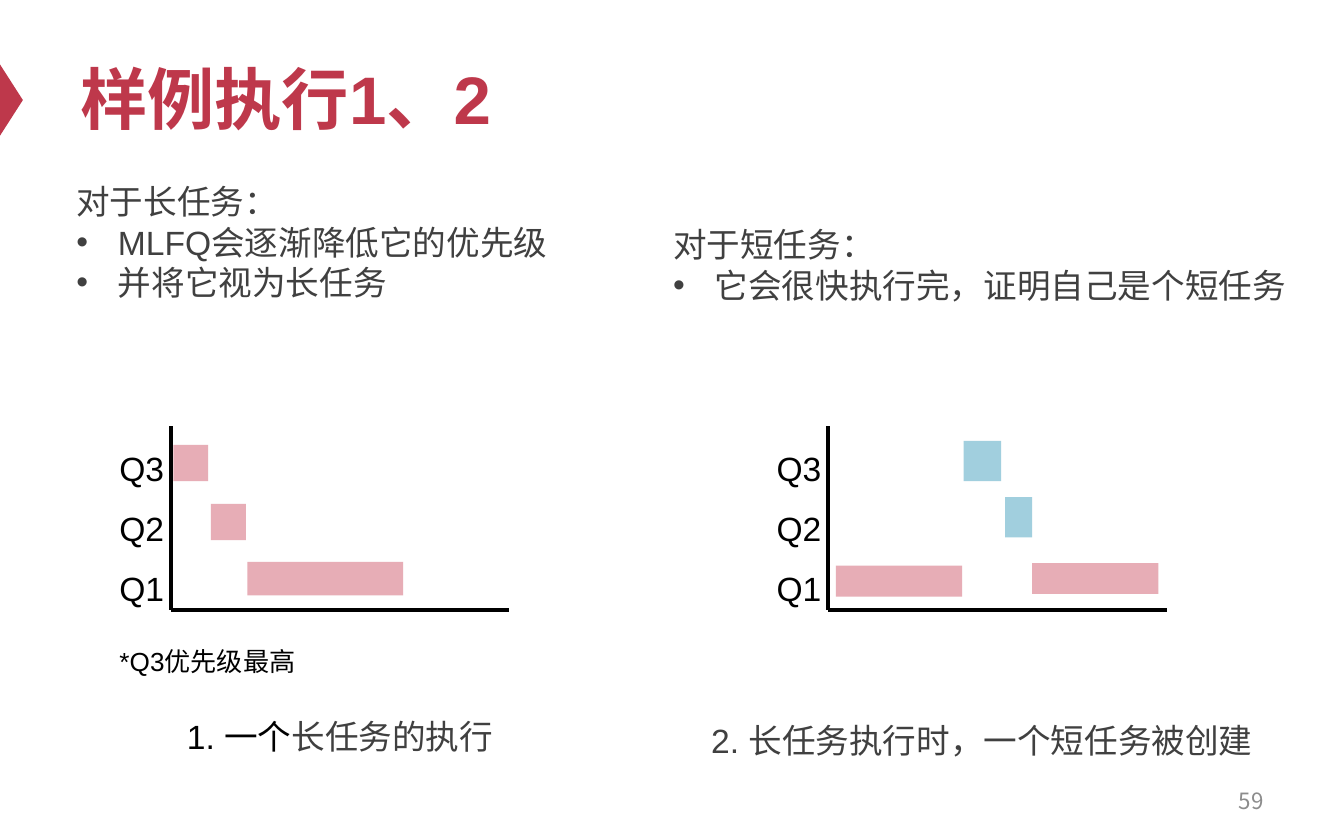
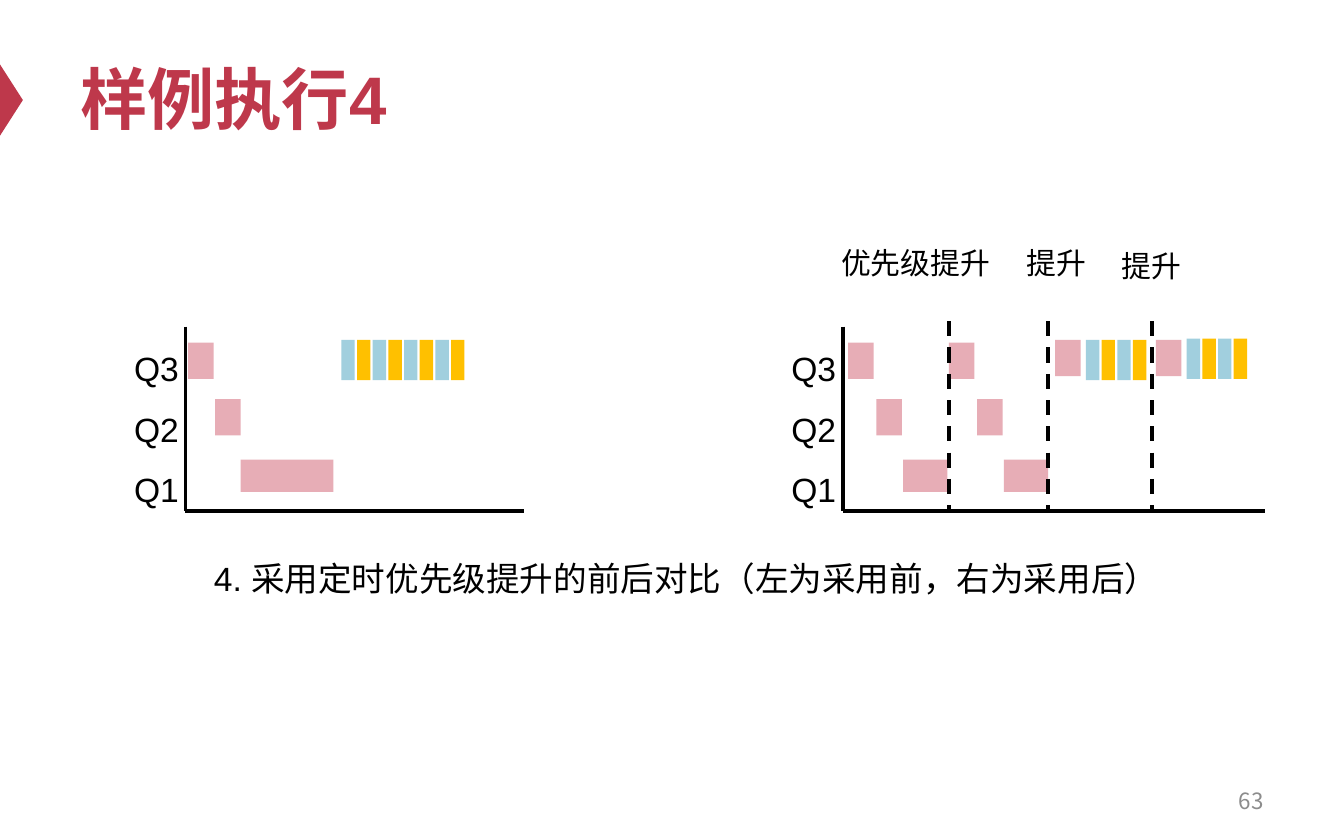
from lxml.etree import SubElement
from pptx import Presentation
from pptx.dml.color import RGBColor
from pptx.enum.dml import MSO_LINE
from pptx.enum.shapes import MSO_CONNECTOR, MSO_SHAPE
from pptx.enum.text import MSO_ANCHOR, PP_ALIGN
from pptx.oxml.ns import qn
from pptx.util import Inches, Pt

CRIMSON = RGBColor(0xBE, 0x38, 0x4B)
PINK = RGBColor(0xE7, 0xAD, 0xB6)
BLUE = RGBColor(0xA1, 0xCF, 0xDE)
AMBER = RGBColor(0xFF, 0xC0, 0x00)
BLACK = RGBColor(0x00, 0x00, 0x00)
DARK_GRAY = RGBColor(0x40, 0x40, 0x40)
PAGE_GRAY = RGBColor(0x8C, 0x8C, 0x8C)

LATIN_FONT = "Arial"
CHINESE_FONT = "Noto Sans CJK SC"
AXIS_OFFSET = 0.48
CHART_HEIGHT = 1.41
STRIPE_PITCH = 0.35 / 3
BULLET_INDENT = Inches(0.31)


def format_runs(paragraph, size, color, bold=False, font_name=LATIN_FONT):
    """Apply one text style to every run of a paragraph."""
    for run in paragraph.runs:
        run.font.size = Pt(size)
        run.font.bold = bold
        run.font.color.rgb = color
        run.font.name = font_name
        SubElement(run.font._element, qn("a:ea"), typeface=CHINESE_FONT)


def add_text(slide, box, text, size, color=BLACK, align=PP_ALIGN.LEFT,
             anchor=MSO_ANCHOR.TOP, spacing=1.0, bold=False, font_name=LATIN_FONT):
    """Add a wrapped text box in one style and return its text frame."""
    shape = slide.shapes.add_textbox(*map(Inches, box))
    text_frame = shape.text_frame
    text_frame.word_wrap = True
    text_frame.vertical_anchor = anchor
    text_frame.text = text
    for paragraph in text_frame.paragraphs:
        paragraph.alignment = align
        paragraph.line_spacing = spacing
        format_runs(paragraph, size, color, bold, font_name)
    return text_frame


def add_caption(slide, box, text, color=BLACK):
    """Add a centred chart caption."""
    return add_text(slide, box, text, 18, color, PP_ALIGN.CENTER, spacing=1.2)


def add_bullet_block(slide, box, heading, bullets):
    """Add a heading line followed by bulleted lines."""
    text_frame = add_text(slide, box, "\n".join([heading, *bullets]), 18, DARK_GRAY)
    for paragraph in text_frame.paragraphs[1:]:
        properties = paragraph._p.get_or_add_pPr()
        properties.set("marL", str(BULLET_INDENT))
        properties.set("indent", str(-BULLET_INDENT))
        SubElement(properties, qn("a:buFont"), typeface=LATIN_FONT)
        SubElement(properties, qn("a:buChar"), char="•")


def add_filled_shape(slide, kind, box, color):
    """Add a flat preset shape without outline or shadow."""
    shape = slide.shapes.add_shape(kind, *map(Inches, box))
    shape.shadow.inherit = False
    shape.fill.solid()
    shape.fill.fore_color.rgb = color
    shape.line.fill.background()
    return shape


def add_line(slide, start, end, dashed=False):
    """Add a straight black line between two points."""
    line = slide.shapes.add_connector(
        MSO_CONNECTOR.STRAIGHT, *map(Inches, (*start, *end)))
    line.line.color.rgb = BLACK
    line.line.width = Pt(2)
    if dashed:
        line.line.dash_style = MSO_LINE.DASH
    SubElement(line._element.spPr, qn("a:effectLst"))


def add_queue_chart(slide, left, top, axis_width, blocks, boosts=()):
    """Draw queue labels, axes, task blocks and dashed boost lines."""
    add_text(slide, (left, top, 0.6, CHART_HEIGHT), "Q3\nQ2\nQ1", 18, spacing=1.5)
    axis = left + AXIS_OFFSET
    bottom = top + CHART_HEIGHT
    add_line(slide, (axis, top + 0.04), (axis, bottom))
    add_line(slide, (axis, bottom), (axis + axis_width, bottom))
    for x, y, width, height, color in blocks:
        add_filled_shape(slide, MSO_SHAPE.RECTANGLE,
                         (axis + x, top + y, width, height), color)
    for x in boosts:
        add_line(slide, (axis + x, top), (axis + x, bottom), dashed=True)


def descending_blocks(x, step, last_width):
    """Return the blocks of a long task sinking from Q3 to Q1."""
    return [(x, 0.16, 0.19, 0.27, PINK),
            (x + step, 0.58, 0.19, 0.27, PINK),
            (x + 2 * step - 0.01, 1.03, last_width, 0.24, PINK)]


def alternating_blocks(x, y, count):
    """Return the stripes of two short tasks taking turns in Q3."""
    return [(x + index * STRIPE_PITCH, y, 0.1, 0.3, (BLUE, AMBER)[index % 2])
            for index in range(count)]


def add_base_slide(presentation, title, page_number):
    """Add a blank slide with the side marker, title and page number."""
    slide = presentation.slides.add_slide(presentation.slide_layouts[6])
    marker = add_filled_shape(slide, MSO_SHAPE.ISOSCELES_TRIANGLE,
                              (-0.18, 0.66, 0.53, 0.17), CRIMSON)
    marker.rotation = 90
    add_text(slide, (7.17, 5.79, 2.33, 0.33), str(page_number), 12, PAGE_GRAY,
             PP_ALIGN.RIGHT, MSO_ANCHOR.MIDDLE, font_name=CHINESE_FONT)
    add_text(slide, (0.5, 0.21, 9, 1.04), title, 36, CRIMSON,
             anchor=MSO_ANCHOR.MIDDLE, bold=True)
    return slide


def build_long_and_short_tasks(presentation):
    """Build the slide on a long task and an arriving short task."""
    slide = add_base_slide(presentation, "样例执行1、2", 59)
    add_bullet_block(slide, (0.47, 1.3, 3.83, 1.01), "对于长任务：",
                     ["MLFQ会逐渐降低它的优先级", "并将它视为长任务"])
    add_bullet_block(slide, (4.91, 1.62, 4.85, 0.71), "对于短任务：",
                     ["它会很快执行完，证明自己是个短任务"])
    add_queue_chart(slide, 0.79, 3.13, 2.52, [
        (0.02, 0.18, 0.26, 0.27, PINK),
        (0.3, 0.62, 0.26, 0.27, PINK),
        (0.57, 1.05, 1.16, 0.25, PINK)])
    add_queue_chart(slide, 5.68, 3.13, 2.52, [
        (0.06, 1.08, 0.94, 0.23, PINK),
        (1.01, 0.15, 0.28, 0.3, BLUE),
        (1.32, 0.57, 0.2, 0.3, BLUE),
        (1.52, 1.06, 0.94, 0.23, PINK)])
    add_text(slide, (0.79, 4.75, 2.68, 0.34), "*Q3优先级最高", 14)
    caption = add_caption(slide, (1.01, 5.22, 3.04, 0.7), "1. 一个").paragraphs[0]
    ending = caption.add_run()
    ending.text = "长任务的执行"
    ending.font.size = Pt(18)
    ending.font.color.rgb = DARK_GRAY
    ending.font.name = LATIN_FONT
    SubElement(ending.font._element, qn("a:ea"), typeface=CHINESE_FONT)
    add_caption(slide, (5.14, 5.25, 4.33, 0.7),
                "2. 长任务执行时，一个短任务被创建", DARK_GRAY)


def build_priority_boost(presentation):
    """Build the slide comparing runs without and with priority boosts."""
    slide = add_base_slide(presentation, "样例执行4", 63)
    add_queue_chart(slide, 0.9, 2.39, 2.52,
                    descending_blocks(0.02, 0.2, 0.69)
                    + alternating_blocks(1.16, 0.14, 8))
    add_queue_chart(slide, 5.79, 2.39, 3.14,
                    descending_blocks(0.04, 0.21, 0.33)
                    + descending_blocks(0.79, 0.21, 0.33)
                    + [(x, 0.14, 0.19, 0.27, PINK) for x in (1.58, 2.33)]
                    + alternating_blocks(1.81, 0.14, 4)
                    + alternating_blocks(2.56, 0.13, 4),
                    boosts=(0.79, 1.53, 2.3))
    for left, top, width, label in ((6.16, 1.77, 1.36, "优先级提升"),
                                    (7.54, 1.77, 0.74, "提升"),
                                    (8.25, 1.79, 0.74, "提升")):
        add_text(slide, (left, top, width, 0.37), label, 16)
    add_caption(slide, (1.39, 4.04, 7.43, 0.7),
                "4. 采用定时优先级提升的前后对比（左为采用前，右为采用后）")


def main():
    """Build and save the presentation."""
    presentation = Presentation()
    presentation.slide_width = Inches(10)
    presentation.slide_height = Inches(6.25)
    build_long_and_short_tasks(presentation)
    build_priority_boost(presentation)
    presentation.save("out.pptx")


if __name__ == "__main__":
    main()
